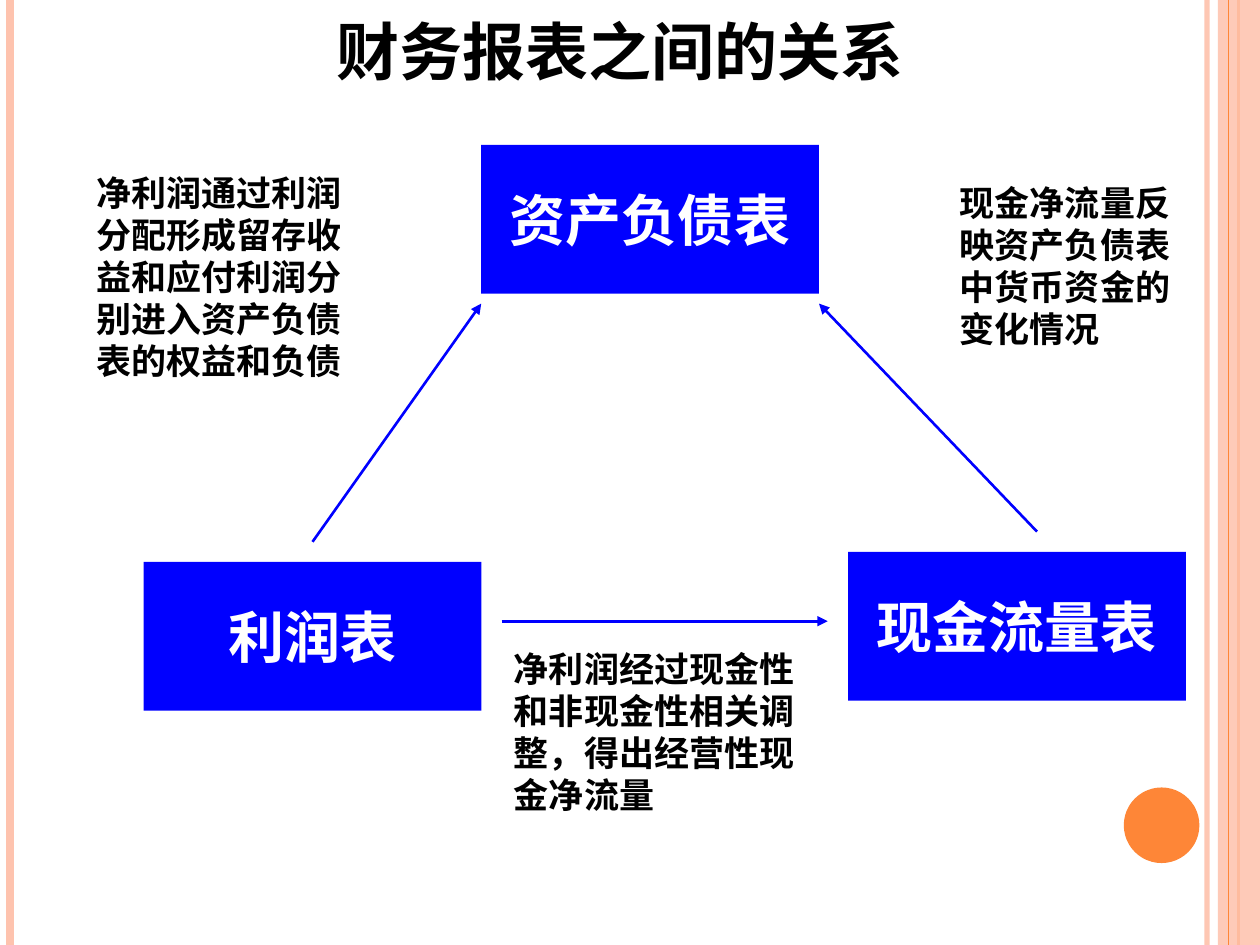
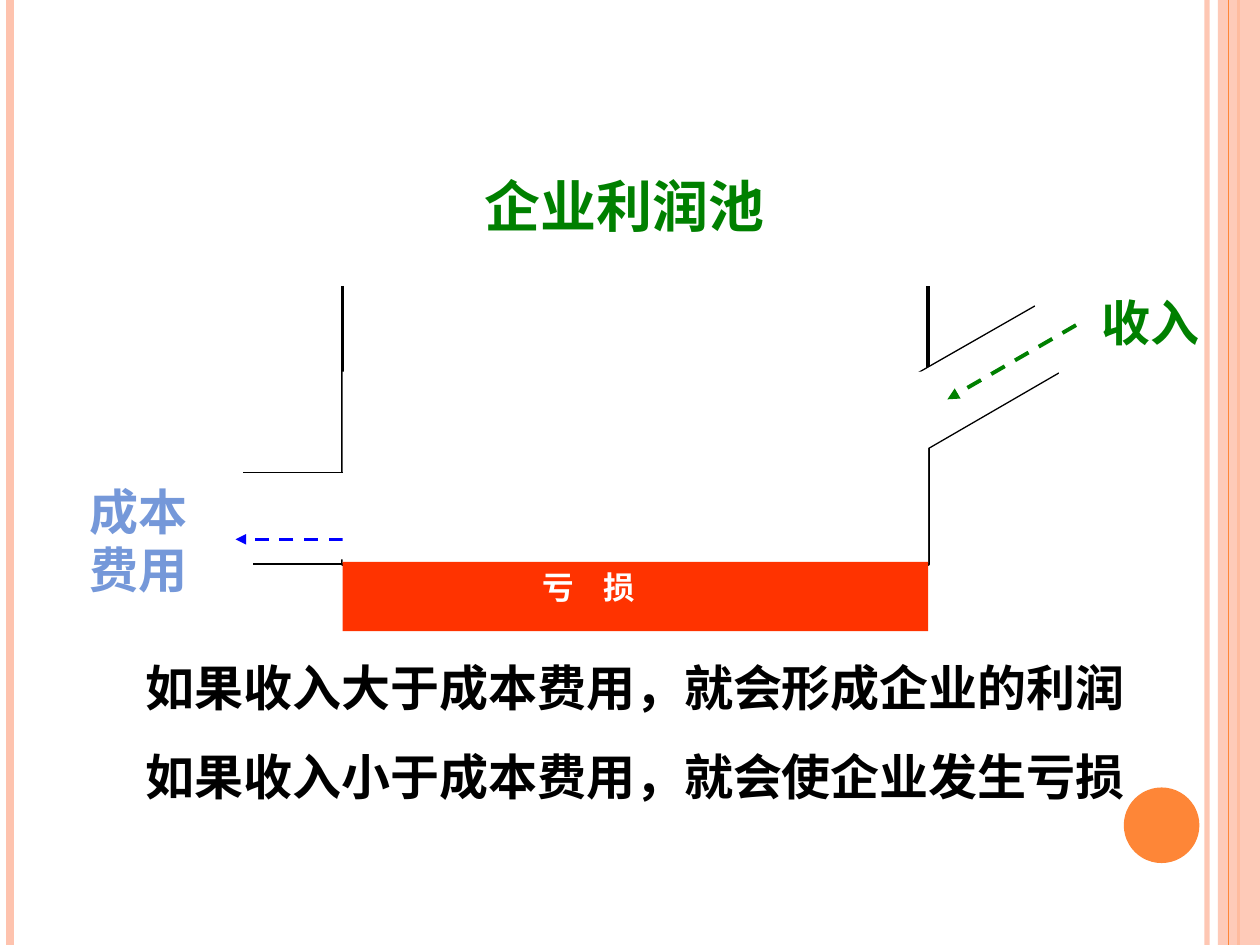
from lxml.etree import SubElement
from pptx import Presentation
from pptx.dml.color import RGBColor
from pptx.enum.dml import MSO_LINE
from pptx.enum.shapes import MSO_CONNECTOR, MSO_SHAPE
from pptx.enum.text import MSO_ANCHOR, PP_ALIGN
from pptx.oxml.ns import qn
from pptx.util import Pt

WIDTH, HEIGHT = 720, 540
BLACK = RGBColor(0, 0, 0)
WHITE = RGBColor(255, 255, 255)
BLUE = RGBColor(0, 0, 255)
GREEN = RGBColor(0, 128, 0)
RED = RGBColor(255, 51, 0)
SKY = RGBColor(0x75, 0x98, 0xD9)
PEACH = RGBColor(0xFE, 0xC3, 0xAE)
ORANGE = RGBColor(0xFE, 0x86, 0x37)
FONT = "Arial"
LEFT, CENTER = PP_ALIGN.LEFT, PP_ALIGN.CENTER

# Frame of every slide: x, colour, width, opacity in percent
RULES = [(689.8, PEACH, 3, 93), (5.8, PEACH, 4.5, 100), (707.8, ORANGE, 1.5, 100)]
INNER_RULE = (702, ORANGE, 0.75, 100)
BAND = (696, 0, 24, HEIGHT)
DOT = (642.2, 450, 43.2, 43.2)

# Slide 1: how the statements connect
TITLE = ("财务报表之间的关系", (161.3, 3.6, 386, 50.4))
STATEMENT_SIZE = (193, 85)
STATEMENTS = [("资产负债表", (275, 82.8)), ("利润表", (82.1, 321.1)),
              ("现金流量表", (484.6, 315.4))]
FLOWS = [((286.6, 355), (473, 355)), ((178.6, 309.6), (275, 173.5)),
         ((592.6, 303.8), (468, 173.5))]
NOTES = [
    ("净利润通过利润分配形成留存收益和应付利润分别进入资产负债表的权益和负债", (48.2, 94.3, 158.4, 127.4)),
    ("净利润经过现金性和非现金性相关调整，得出经营性现金净流量", (286.6, 366.5, 193, 103.7)),
    ("现金净流量反映资产负债表中货币资金的变化情况", (541.4, 100.1, 136.1, 103.7)),
]

# Slide 2: the profit pool
POOL_LEFT, POOL_RIGHT, POOL_TOP, POOL_FLOOR = 195.8, 530.4, 163.4, 322.3
POOL_WIDTH = POOL_RIGHT - POOL_LEFT
POOL_NAME = ("企业利润池", (269.3, 94.3, 175.7, 46))
INCOME = ("收入", (614.9, 163.4, 85, 41))
COSTS = ("成本费用", (36.7, 271.4, 85, 75))
LOSS = ("亏\t损", (303.1, 321.1, 90.7, 28.8))
LOSS_TAB = 34.5
RESULTS = ["如果收入大于成本费用，就会形成企业的利润", "如果收入小于成本费用，就会使企业发生亏损"]
INLET = [(473, 242.6), (592.6, 174.2), (612.7, 208.8), (484.6, 283)]
INLET_END = (598.3, 151.2, 39.6, 79.2)
OUTLET_TOP, OUTLET_LEFT = 270, 139


def write(shape, lines, size, color, align=LEFT, gap=0, tab=None, wrap=True):
    tf = shape.text_frame
    tf.word_wrap = wrap
    for i, line in enumerate(lines):
        p = tf.add_paragraph() if i else tf.paragraphs[0]
        p.text = line
        p.alignment = align
        if i:
            p.space_before = Pt(gap)
        if tab:
            tabs = SubElement(p._p.get_or_add_pPr(), qn("a:tabLst"))
            SubElement(tabs, qn("a:tab"), pos=str(Pt(tab)), algn="l")
        font = p.font
        font.name, font.size, font.bold = FONT, Pt(size), True
        font.color.rgb = color
    return tf


def add_text(s, lines, box, size, color, **style):
    write(s.shapes.add_textbox(*map(Pt, box)), lines, size, color, **style)


def set_opacity(fill_holder, percent):
    color = fill_holder.find(f".//{qn('a:srgbClr')}")
    SubElement(color, qn("a:alpha"), val=str(percent * 1000))


def add_block(s, box, color, kind=MSO_SHAPE.RECTANGLE):
    sp = s.shapes.add_shape(kind, *map(Pt, box))
    sp.shadow.inherit = False
    sp.fill.solid()
    sp.fill.fore_color.rgb = color
    sp.line.fill.background()
    return sp


def add_line(s, start, end, color, width, arrow=False, dashed=False, opacity=100):
    cn = s.shapes.add_connector(MSO_CONNECTOR.STRAIGHT, *map(Pt, start + end))
    cn.line.color.rgb = color
    cn.line.width = Pt(width)
    if dashed:
        cn.line.dash_style = MSO_LINE.DASH
    ln = cn.line._get_or_add_ln()
    if opacity < 100:
        set_opacity(ln, opacity)
    if arrow:
        SubElement(ln, qn("a:tailEnd"), type="triangle")
    SubElement(cn._element.spPr, qn("a:effectLst"))


def add_outline(s, points, width, fill=None):
    """Draw an open black path through the points."""
    start, *rest = [tuple(map(Pt, pt)) for pt in points]
    builder = s.shapes.build_freeform(*start)
    builder.add_line_segments(rest, close=False)
    sp = builder.convert_to_shape()
    sp.shadow.inherit = False
    if fill is None:
        sp.fill.background()
    else:
        sp.fill.solid()
        sp.fill.fore_color.rgb = fill
    sp.line.color.rgb = BLACK
    sp.line.width = Pt(width)


def add_rule(s, x, color, width, opacity):
    add_line(s, (x, 0), (x, HEIGHT), color, width, opacity=opacity)


def add_framed_slide(prs):
    s = prs.slides.add_slide(prs.slide_layouts[6])
    for rule in RULES:
        add_rule(s, *rule)
    set_opacity(add_block(s, BAND, PEACH)._element.spPr, 87)
    add_rule(s, *INNER_RULE)
    add_block(s, DOT, ORANGE, MSO_SHAPE.OVAL)
    return s


def build_statements(prs):
    s = add_framed_slide(prs)
    for name, corner in STATEMENTS:
        sp = add_block(s, corner + STATEMENT_SIZE, BLUE)
        tf = write(sp, [name], 32, WHITE, align=CENTER, wrap=False)
        tf.vertical_anchor = MSO_ANCHOR.MIDDLE
    for start, end in FLOWS:
        add_line(s, start, end, BLUE, 1.5, arrow=True)
    for note, box in NOTES:
        add_text(s, [note], box, 20, BLACK)
    title, box = TITLE
    add_text(s, [title], box, 36, BLACK, align=CENTER)


def build_profit_pool(prs):
    s = add_framed_slide(prs)
    add_outline(s, [(POOL_LEFT, POOL_TOP), (POOL_LEFT, POOL_FLOOR),
                    (POOL_RIGHT, POOL_FLOOR), (POOL_RIGHT, POOL_TOP)], 2)
    add_outline(s, INLET, 0.75, WHITE)
    add_block(s, INLET_END, WHITE).rotation = 340.4
    for (label, box), size, color in [(POOL_NAME, 32, GREEN), (INCOME, 28, GREEN),
                                      (COSTS, 28, SKY)]:
        add_text(s, [label], box, size, color, align=CENTER)
    add_line(s, (614.9, 185.8), (541.4, 228.2), GREEN, 2.25, arrow=True, dashed=True)
    add_line(s, (144.7, POOL_FLOOR), (POOL_LEFT, POOL_FLOOR), BLACK, 0.75)
    add_text(s, RESULTS, (76.3, 372.2, 607, 92.2), 28, BLACK, gap=17.5)

    add_block(s, (OUTLET_LEFT, OUTLET_TOP, 60.5, 49.7), WHITE)
    add_line(s, (POOL_LEFT, 308.2), (134.6, 308.2), BLUE, 2, arrow=True, dashed=True)
    add_block(s, (POOL_LEFT, 212.4, POOL_WIDTH, 109.4), WHITE)
    add_line(s, (POOL_LEFT, OUTLET_TOP), (OUTLET_LEFT, OUTLET_TOP), BLACK, 0.75)
    add_block(s, (POOL_LEFT, 321.1, POOL_WIDTH, 39.6), RED)
    loss, box = LOSS
    add_text(s, [loss], box, 18, WHITE, tab=LOSS_TAB)


def main():
    prs = Presentation()
    prs.slide_width, prs.slide_height = Pt(WIDTH), Pt(HEIGHT)
    build_statements(prs)
    build_profit_pool(prs)
    prs.save("out.pptx")


if __name__ == "__main__":
    main()
